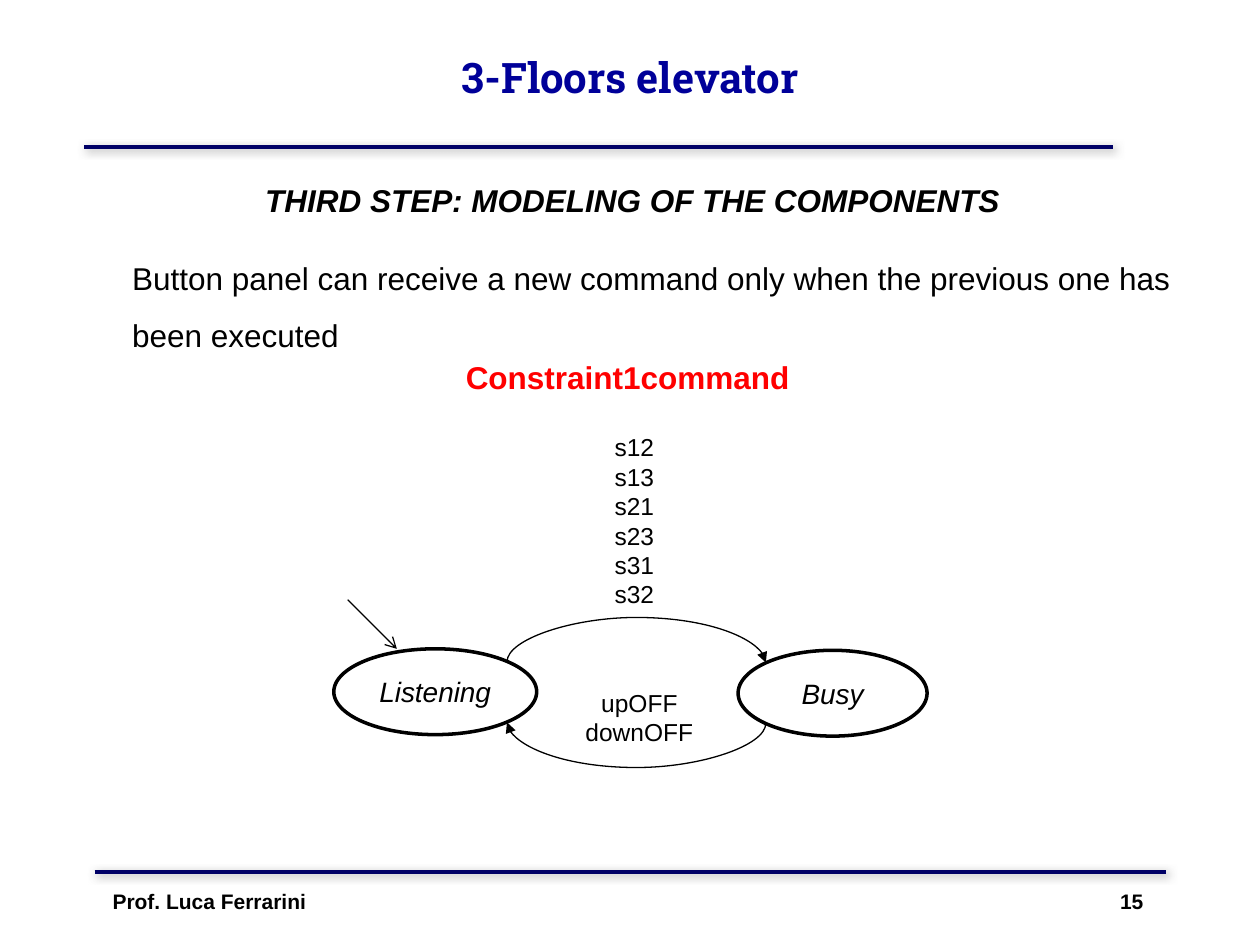
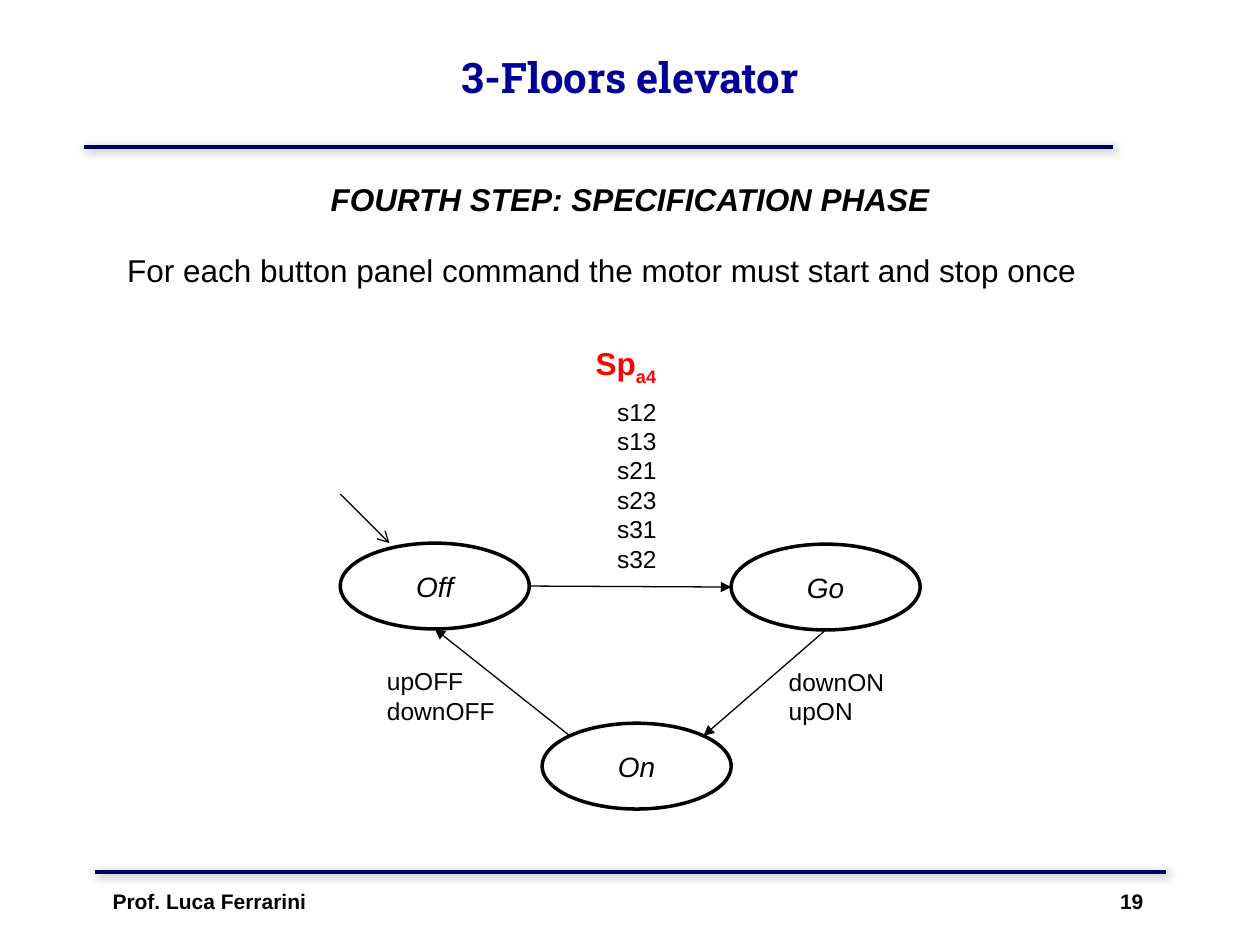
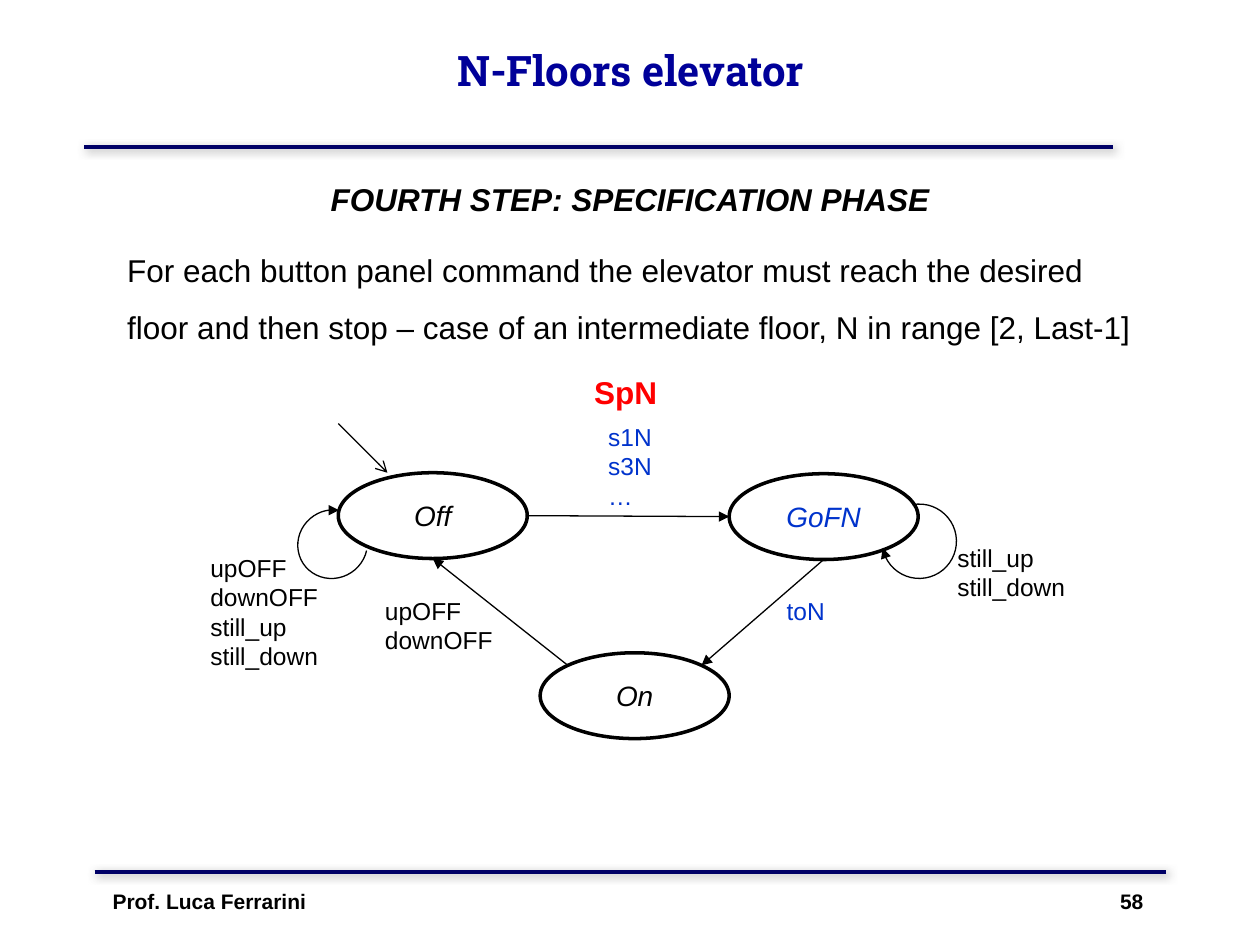
from dataclasses import dataclass
from math import cos, radians, sin

from lxml.etree import SubElement
from pptx import Presentation
from pptx.dml.color import RGBColor
from pptx.enum.shapes import MSO_CONNECTOR, MSO_SHAPE
from pptx.enum.text import MSO_ANCHOR, MSO_AUTO_SIZE, PP_ALIGN
from pptx.oxml.ns import qn
from pptx.shapes.autoshape import Shape
from pptx.shapes.connector import Connector
from pptx.slide import Slide, SlideLayout
from pptx.text.text import TextFrame
from pptx.util import Cm, Pt


@dataclass(frozen=True)
class Theme:
    font: str = "Arial"
    title_font: str = "Roboto Slab"
    title: str = "000099"
    rule: str = "000066"
    shadow: str = "808080"
    ink: str = "000000"
    paper: str = "FFFFFF"
    name: str = "FF0000"
    changed: str = "0033CC"
    title_size: int = 24
    text_size: int = 18
    state_size: int = 16
    label_size: int = 14
    footer_size: int = 12


THEME = Theme()
AUTHOR = "Prof. Luca Ferrarini"
COMMANDS = "s12\ns13\ns21\ns23\ns31\ns32"
MOTOR_OFF = "upOFF\ndownOFF"
STILL = "still_up\nstill_down"

# Connection sites of an ellipse, counted anticlockwise from the top
TOP, TOP_LEFT, LEFT, BOTTOM_LEFT, BOTTOM, BOTTOM_RIGHT, RIGHT, TOP_RIGHT = range(8)


@dataclass(frozen=True)
class Area:
    """A frame in centimetres."""
    left: float
    top: float
    width: float
    height: float

    def lengths(self) -> tuple[Cm, Cm, Cm, Cm]:
        return Cm(self.left), Cm(self.top), Cm(self.width), Cm(self.height)


@dataclass(frozen=True)
class Style:
    size: int
    color: str = THEME.ink
    bold: bool = False
    italic: bool = False
    align: PP_ALIGN = PP_ALIGN.LEFT
    font: str = THEME.font


TITLE = Style(THEME.title_size, THEME.title, bold=True, align=PP_ALIGN.CENTER,
              font=THEME.title_font)
HEADING = Style(THEME.text_size, bold=True, italic=True, align=PP_ALIGN.CENTER)
STATEMENT = Style(THEME.text_size)
MODEL_NAME = Style(THEME.text_size, THEME.name, bold=True)
LABEL = Style(THEME.label_size)
CENTERED_LABEL = Style(THEME.label_size, align=PP_ALIGN.CENTER)
CHANGED_LABEL = Style(THEME.label_size, THEME.changed)
FOOTER = Style(THEME.footer_size, bold=True)


@dataclass(frozen=True)
class PageText:
    number: int
    title: str
    title_area: Area
    heading: str
    heading_area: Area
    statement: str
    statement_area: Area


# Text
def apply_style(frame: TextFrame, style: Style) -> None:
    for para in frame.paragraphs:
        para.alignment = style.align
        for span in para.runs:
            span.font.name = style.font
            span.font.size = Pt(style.size)
            span.font.bold = style.bold
            span.font.italic = style.italic
            span.font.color.rgb = RGBColor.from_string(style.color)


def add_text(page: Slide, area: Area, text: str, style: Style) -> Shape:
    box = page.shapes.add_textbox(*area.lengths())
    box.text_frame.word_wrap = True
    box.text_frame.text = text
    apply_style(box.text_frame, style)
    return box


def fill_placeholder(box: Shape, area: Area, text: str, style: Style) -> None:
    box.left, box.top, box.width, box.height = area.lengths()
    box.text_frame.auto_size = MSO_AUTO_SIZE.NONE
    box.text_frame.text = text
    apply_style(box.text_frame, style)


# Lines
def draw_stroke(item: Shape | Connector, width: float, color: str = THEME.ink) -> None:
    item.line.width = Pt(width)
    item.line.color.rgb = RGBColor.from_string(color)


def add_arrowhead(item: Shape | Connector, end: str, kind: str) -> None:
    outline = item.element.spPr.find(qn("a:ln"))
    SubElement(outline, qn(f"a:{end}"), type=kind)


def add_line(page: Slide, start: tuple[int, int], end: tuple[int, int], width: float,
             color: str = THEME.ink, kind: MSO_CONNECTOR = MSO_CONNECTOR.STRAIGHT) -> Connector:
    line = page.shapes.add_connector(kind, *start, *end)
    draw_stroke(line, width, color)
    SubElement(line.element.spPr, qn("a:effectLst"))
    return line


def add_rule(page: Slide, layout: SlideLayout, left: float, right: float, top: float) -> None:
    """Draw a shadowed rule and move it to the layout, where all pages share it."""
    rule = add_line(page, (Cm(left), Cm(top)), (Cm(right), Cm(top)), 2.25, THEME.rule)
    effects = rule.element.spPr.find(qn("a:effectLst"))
    shadow = SubElement(effects, qn("a:outerShdw"), blurRad=str(Pt(5)),
                        dist=str(Pt(1.4)), dir="2700000")
    tint = SubElement(shadow, qn("a:srgbClr"), val=THEME.shadow)
    SubElement(tint, qn("a:alpha"), val="75000")
    layout.shapes.element.append(rule.element)


# State diagrams
def add_state(page: Slide, left: float, top: float, name: str,
              width: float = 3.81, color: str = THEME.ink) -> Shape:
    state = page.shapes.add_shape(MSO_SHAPE.OVAL, *Area(left, top, width, 1.73).lengths())
    state.shadow.inherit = False
    state.fill.solid()
    state.fill.fore_color.rgb = RGBColor.from_string(THEME.paper)
    draw_stroke(state, 2)
    state.text_frame.text = name
    state.text_frame.vertical_anchor = MSO_ANCHOR.MIDDLE
    apply_style(state.text_frame, Style(THEME.state_size, color, italic=True,
                                        align=PP_ALIGN.CENTER))
    return state


def site_point(state: Shape, site: int) -> tuple[int, int]:
    angle = radians(-90 - 45 * site)
    return (round(state.left + state.width / 2 * (1 + cos(angle))),
            round(state.top + state.height / 2 * (1 + sin(angle))))


def add_transition(page: Slide, source: Shape, source_site: int, target: Shape,
                   target_site: int, kind: MSO_CONNECTOR = MSO_CONNECTOR.STRAIGHT) -> Connector:
    link = add_line(page, site_point(source, source_site), site_point(target, target_site),
                    0.75, kind=kind)
    add_arrowhead(link, "tailEnd", "triangle")
    joints = link.element.find(f".//{qn('p:cNvCxnSpPr')}")
    for tag, state, site in (("a:stCxn", source, source_site), ("a:endCxn", target, target_site)):
        SubElement(joints, qn(tag), id=str(state.shape_id), idx=str(site))
    return link


def add_curved_transition(page: Slide, source: Shape, source_site: int,
                          target: Shape, target_site: int) -> None:
    """Bulge upwards when going right and downwards when going left."""
    link = add_transition(page, source, source_site, target, target_site, MSO_CONNECTOR.CURVE)
    start, end = site_point(source, source_site), site_point(target, target_site)
    thickness, bulge = Cm(0.02), Cm(0.89)
    span = abs(end[0] - start[0])
    link.left = (start[0] + end[0] - thickness) // 2
    link.top = (start[1] + end[1] - span) // 2
    link.width, link.height = thickness, span
    frame = link.element.spPr.find(qn("a:xfrm"))
    frame.attrib.pop("flipV", None)
    frame.set("flipH", "1")
    frame.set("rot", str((270 if end[0] > start[0] else 90) * 60000))
    guides = link.element.spPr.find(f".//{qn('a:avLst')}")
    SubElement(guides, qn("a:gd"), name="adj1",
               fmla=f"val {round(-bulge / thickness * 100000)}")


def add_initial_arrow(page: Slide, state: Shape, offset: float) -> None:
    tip = (state.left + Cm(offset), state.top)
    arrow = add_line(page, (tip[0] - Cm(0.99), tip[1] - Cm(0.99)), tip, 0.75)
    add_arrowhead(arrow, "tailEnd", "arrow")


def add_self_loop(page: Slide, area: Area, rotation: float) -> None:
    loop = page.shapes.add_shape(MSO_SHAPE.ARC, *area.lengths())
    loop.shadow.inherit = False
    loop.adjustments[0], loop.adjustments[1] = 81.6, 27.6
    loop.rotation = rotation
    loop.element.spPr.find(qn("a:xfrm")).set("flipH", "1")
    loop.fill.background()
    draw_stroke(loop, 0.75)
    add_arrowhead(loop, "headEnd", "triangle")


def draw_motor_cycle(page: Slide, left: float, top: float, moving: str, moving_color: str,
                     arrival: str, arrival_style: Style) -> None:
    """Draw the triangle Off - moving - On, with its Off state at left, top."""
    off = add_state(page, left, top, "Off")
    go = add_state(page, left + 7.88, top + 0.02, moving, color=moving_color)
    on = add_state(page, left + 4.07, top + 3.63, "On")
    add_initial_arrow(page, off, 0.99)
    add_transition(page, off, RIGHT, go, LEFT)
    add_transition(page, go, BOTTOM, on, TOP_RIGHT)
    add_transition(page, on, TOP_LEFT, off, BOTTOM)
    add_text(page, Area(left + 0.69, top + 2.36, 2.92, 1.45), MOTOR_OFF, LABEL)
    add_text(page, Area(left + 8.79, top + 2.37, 2.54, 1.45), arrival, arrival_style)


# Pages
def add_page(deck: Presentation, layout: SlideLayout, texts: PageText) -> Slide:
    page = deck.slides.add_slide(layout)
    fill_placeholder(page.shapes.title, texts.title_area, texts.title, TITLE)
    add_text(page, texts.heading_area, texts.heading, HEADING)

    body = page.placeholders[1]
    fill_placeholder(body, texts.statement_area, texts.statement, STATEMENT)
    para = body.text_frame.paragraphs[0]
    para.line_spacing = 1.5
    para.space_before = Pt(0)
    settings = para._p.get_or_add_pPr()
    settings.set("marL", "0")
    settings.set("indent", "0")
    SubElement(settings, qn("a:buNone"))

    # Footer with the page number on a right tab
    footer = add_text(page, Area(2.02, 17.78, 21.3, 1.27), f"{AUTHOR}\t{texts.number}", FOOTER)
    tabs = SubElement(footer.text_frame.paragraphs[0]._p.get_or_add_pPr(), qn("a:tabLst"))
    SubElement(tabs, qn("a:tab"), pos=str(Cm(20.78)), algn="r")
    return page


def draw_constraint(page: Slide) -> None:
    add_text(page, Area(9.14, 7.09, 7.11, 1.02), "Constraint1command", MODEL_NAME)
    listening = add_state(page, 6.73, 13.08, "Listening", width=4.09)
    busy = add_state(page, 14.88, 13.11, "Busy")
    add_initial_arrow(page, listening, 1.27)
    add_curved_transition(page, listening, TOP_RIGHT, busy, TOP_LEFT)
    add_curved_transition(page, busy, BOTTOM_LEFT, listening, BOTTOM_RIGHT)
    add_text(page, Area(12.14, 8.59, 1.37, 3.84), COMMANDS, LABEL)
    add_text(page, Area(11.43, 13.74, 2.92, 1.45), MOTOR_OFF, CENTERED_LABEL)


def draw_start_stop(page: Slide) -> None:
    draw_motor_cycle(page, 6.86, 10.95, "Go", THEME.ink, "downON\nupON", LABEL)
    add_text(page, Area(12.19, 7.87, 2.54, 3.84), COMMANDS, LABEL)
    name = add_text(page, Area(11.76, 6.81, 1.83, 1.02), "Sp", MODEL_NAME)
    index = name.text_frame.paragraphs[0].add_run()
    index.text = "a4"
    apply_style(name.text_frame, MODEL_NAME)
    index._r.get_or_add_rPr().set("baseline", "-25000")


def draw_intermediate_floor(page: Slide) -> None:
    add_text(page, Area(11.73, 7.39, 1.83, 1.02), "SpN", MODEL_NAME)
    draw_motor_cycle(page, 6.82, 9.53, "GoFN", THEME.changed, "toN", CHANGED_LABEL)
    add_text(page, Area(12.01, 8.38, 1.6, 2.06), "s1N\ns3N\n…", CHANGED_LABEL)
    add_self_loop(page, Area(6.02, 10.26, 1.37, 1.42), 236.7)
    add_text(page, Area(3.99, 11.02, 2.92, 2.64), f"{MOTOR_OFF}\n{STILL}", LABEL)
    add_self_loop(page, Area(17.78, 10.16, 1.5, 1.5), 125.6)
    add_text(page, Area(19.05, 10.82, 2.92, 1.45), STILL, LABEL)


TITLE_AREA = Area(1.91, -0.05, 21.59, 3.18)
SPECIFICATION = "FOURTH STEP: SPECIFICATION PHASE"
SPECIFICATION_AREA = Area(1.73, 3.51, 21.95, 1.02)

PAGES = (
    (PageText(15, "3-Floors elevator", TITLE_AREA,
              "THIRD STEP: MODELING OF THE COMPONENTS", Area(1.78, 3.53, 21.95, 1.02),
              "Button panel can receive a new command only when the previous one has "
              "been executed", Area(2.41, 4.72, 21.95, 2.41)),
     draw_constraint),
    (PageText(19, "3-Floors elevator", TITLE_AREA, SPECIFICATION, SPECIFICATION_AREA,
              "For each button panel command the motor must start and stop once",
              Area(2.31, 4.55, 20.75, 1.27)),
     draw_start_stop),
    (PageText(58, "N-Floors elevator", Area(2.34, -0.18, 20.75, 3.18),
              SPECIFICATION, SPECIFICATION_AREA,
              "For each button panel command the elevator must reach the desired floor and "
              "then stop – case of an intermediate floor, N in range [2, Last-1]",
              Area(2.31, 4.55, 20.75, 2.41)),
     draw_intermediate_floor),
)


def main() -> None:
    deck = Presentation()
    deck.slide_width, deck.slide_height = Cm(25.4), Cm(19.05)
    layout = deck.slide_layouts[1]
    for texts, draw_diagram in PAGES:
        draw_diagram(add_page(deck, layout, texts))

    # Rules above and below the content of every page
    first_page = deck.slides[0]
    add_rule(first_page, layout, 1.7, 22.43, 2.97)
    add_rule(first_page, layout, 1.91, 23.5, 17.58)
    deck.save("out.pptx")


if __name__ == "__main__":
    main()
